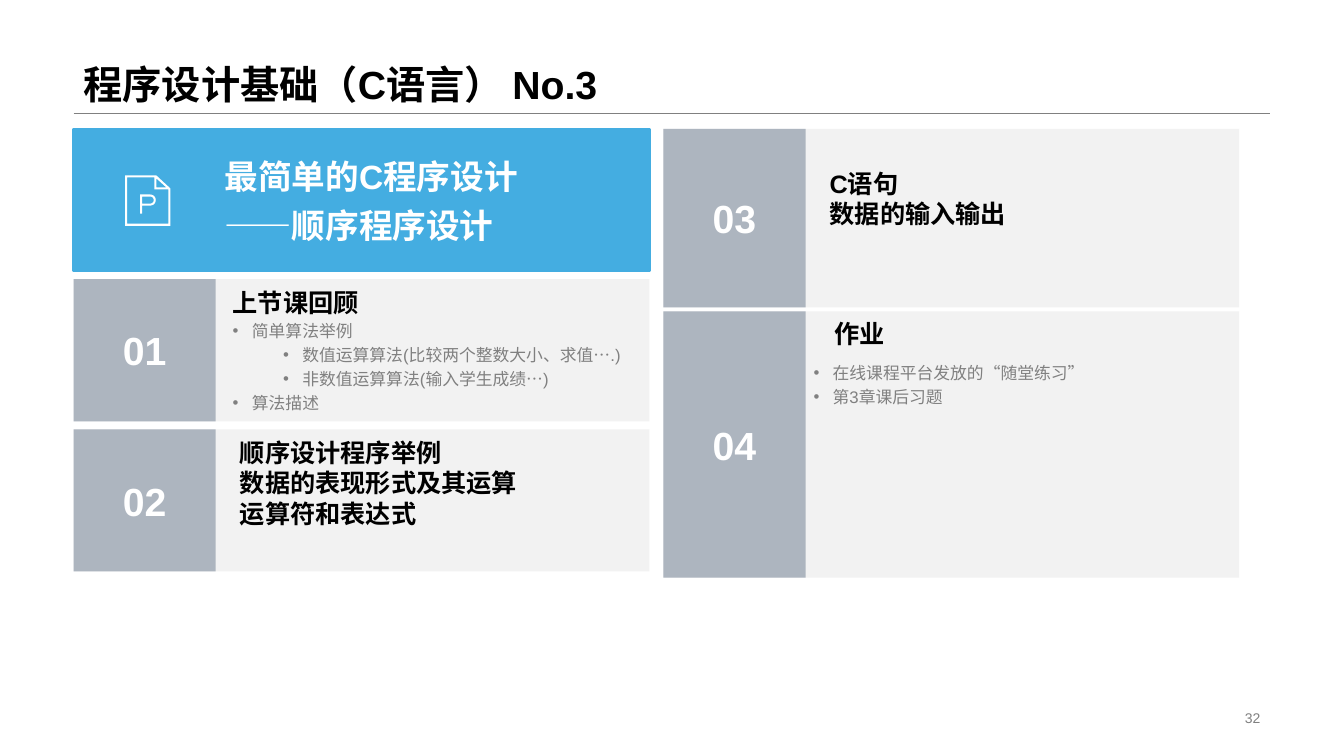
from dataclasses import dataclass
from math import cos, pi, sin

from lxml.etree import SubElement
from pptx import Presentation
from pptx.dml.color import RGBColor
from pptx.enum.lang import MSO_LANGUAGE_ID as LANG
from pptx.enum.shapes import MSO_CONNECTOR as CONN, MSO_SHAPE as SHAPE
from pptx.enum.text import MSO_ANCHOR as ANCHOR, PP_ALIGN as ALIGN
from pptx.oxml.ns import qn
from pptx.util import Inches, Pt


@dataclass(frozen=True)
class Theme:
    font: str = "Arial"
    black: str = "000000"
    white: str = "FFFFFF"
    gray: str = "808080"
    panel: str = "F2F2F2"
    tab: str = "ADB5BF"
    blue: str = "44ADE1"
    title: int = 28
    banner: int = 24
    heading: int = 18
    item: int = 12
    page: int = 10


T = Theme()
LEFT, RIGHT, TOP = 0.73, 6.58, 1.28
CARD_W, CARD_H, TAB_W = 5.71, 1.41, 1.41
STEP = 1.49


def rgb(color):
    return RGBColor.from_string(color)


def add_run(p, text, size, color, bold=False):
    r = p.add_run()
    r.text = text
    f = r.font
    f.name, f.size, f.bold = T.font, Pt(size), bold
    f.color.rgb = rgb(color)
    f.language_id = LANG.SIMPLIFIED_CHINESE


def add_bullet(p, level):
    pPr = p._p.get_or_add_pPr()
    pPr.set("marL", str(Inches(0.19 + 0.5 * level)))
    pPr.set("indent", str(Inches(-0.19)))
    SubElement(pPr, qn("a:buFont")).set("typeface", T.font)
    SubElement(pPr, qn("a:buChar")).set("char", "•")


def add_text(s, box, lines, size, color, bold=False, spacing=None,
             anchor=ANCHOR.TOP, align=ALIGN.LEFT):
    tf = s.shapes.add_textbox(*map(Inches, box)).text_frame
    tf.word_wrap = True
    tf.vertical_anchor = anchor
    for i, line in enumerate(lines):
        p = tf.add_paragraph() if i else tf.paragraphs[0]
        p.alignment, p.line_spacing = align, spacing
        add_run(p, line, size, color, bold)


def add_items(s, box, items):
    """Bulleted list of (level, text) pairs on unwrapped lines."""
    tf = s.shapes.add_textbox(*map(Inches, box)).text_frame
    tf.word_wrap = False
    for i, (level, text) in enumerate(items):
        p = tf.add_paragraph() if i else tf.paragraphs[0]
        p.level, p.line_spacing = level, 1.2
        add_bullet(p, level)
        add_run(p, text, T.item, T.gray)


def fill_plain(sp, color):
    sp.shadow.inherit = False
    sp.fill.solid()
    sp.fill.fore_color.rgb = rgb(color)
    sp.line.fill.background()


def add_rect(s, box, color):
    sp = s.shapes.add_shape(SHAPE.RECTANGLE, *map(Inches, box))
    fill_plain(sp, color)
    return sp


def add_header(s, x, w, h):
    rule = s.shapes.add_connector(CONN.STRAIGHT, Inches(x), Inches(h), Inches(x + w), Inches(h))
    rule.line.color.rgb = rgb(T.gray)
    rule.line.width = Pt(0.25)
    SubElement(rule._element.spPr, qn("a:effectLst"))
    title = s.shapes.title
    title.left, title.top, title.width, title.height = map(Inches, (x, 0, w, h))
    tf = title.text_frame
    tf.vertical_anchor = ANCHOR.BOTTOM
    p = tf.paragraphs[0]
    p.alignment, p.line_spacing = ALIGN.LEFT, 0.9
    add_run(p, "程序设计基础（C语言） No.3", T.title, T.black, True)


def add_card(s, x, y, h, number, headings, dx, dy):
    """Gray panel with a numbered tab; headings start at (dx, dy) inside it."""
    add_rect(s, (x, y, CARD_W, h), T.panel)
    tf = add_rect(s, (x, y, TAB_W, h), T.tab).text_frame
    tf.vertical_anchor = ANCHOR.MIDDLE
    p = tf.paragraphs[0]
    p.alignment = ALIGN.CENTER
    add_run(p, number, T.title, T.white, True)
    add_text(s, (x + dx, y + dy, 3.91, 0.1 + 0.3 * len(headings)),
             headings, T.heading, T.black, True)


def add_page_icon(s, x, y):
    """Page with a folded corner and a letter P, drawn in thousandths of an inch."""
    def bowl(radius):
        angles = [pi / 2 - pi * i / 12 for i in range(13)]
        return [(250 + radius * cos(a), 245 - radius * sin(a)) for a in angles]

    contours = [
        [(0, 0), (310, 0), (450, 130), (450, 500), (0, 500)],
        [(20, 20), (20, 480), (430, 480), (430, 140), (290, 140), (290, 20)],
        [(310, 30), (310, 120), (410, 120)],
        [(150, 190), *bowl(55), (170, 300), (170, 380), (150, 380)],
        [(170, 210), (170, 280), *reversed(bowl(35))],
    ]
    fb = s.shapes.build_freeform(*contours[0][0], scale=Inches(1) / 1000)
    for i, (start, *rest) in enumerate(contours):
        if i:
            fb.move_to(*start)
        fb.add_line_segments(rest, close=True)
    fill_plain(fb.convert_to_shape(Inches(x), Inches(y)), T.white)


def add_banner(s, x, y):
    sp = add_rect(s, (x, y, CARD_W, CARD_H), T.blue)
    sp.line.color.rgb = rgb(T.blue)
    sp.line.width = Pt(2)
    add_text(s, (x + 1.4, y + 0.17, 4.06, 1.03), ["最简单的C程序设计", "——顺序程序设计"],
             T.banner, T.white, True, 1.2, ANCHOR.BOTTOM)


def build_agenda(prs):
    s = prs.slides.add_slide(prs.slide_layouts[5])
    add_header(s, LEFT, 11.87, 1.12)
    add_banner(s, LEFT, TOP)
    add_page_icon(s, LEFT + 0.51, TOP + 0.46)

    review_y = TOP + STEP
    add_card(s, LEFT, review_y, CARD_H, "01", ["上节课回顾"], 1.48, 0.03)
    add_items(s, (LEFT + 1.48, review_y + 0.32, 4.22, 1.09), [
        (0, "简单算法举例"),
        (1, "数值运算算法(比较两个整数大小、求值….)"),
        (1, "非数值运算算法(输入学生成绩…)"),
        (0, "算法描述"),
    ])
    add_card(s, LEFT, TOP + 2 * STEP, CARD_H, "02",
             ["顺序设计程序举例", "数据的表现形式及其运算", "运算符和表达式"], 1.55, 0.03)

    add_card(s, RIGHT, TOP, 1.77, "03", ["C语句", "数据的输入输出"], 1.55, 0.34)
    homework_y = TOP + 1.81
    add_card(s, RIGHT, homework_y, 2.64, "04", ["作业"], 1.6, 0.02)
    add_items(s, (RIGHT + 1.39, homework_y + 0.42, 4.22, 1.09), [
        (0, "在线课程平台发放的“随堂练习”"),
        (0, "第3章课后习题"),
    ])
    add_text(s, (9.42, 7.01, 3.18, 0.23), ["32"], T.page, T.gray,
             anchor=ANCHOR.MIDDLE, align=ALIGN.RIGHT)


def main():
    prs = Presentation()
    prs.slide_width, prs.slide_height = Inches(13.33), Inches(7.5)
    build_agenda(prs)
    prs.save("out.pptx")


if __name__ == "__main__":
    main()
